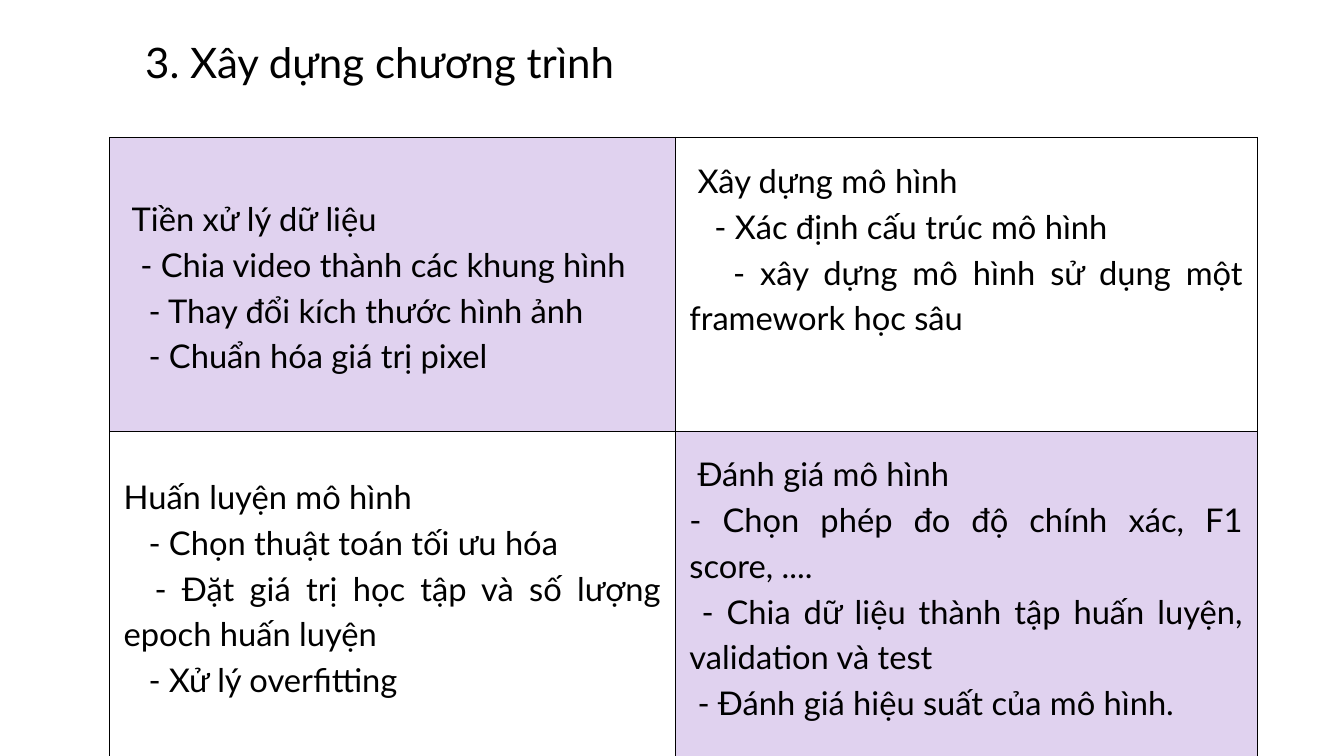
from lxml import etree
from pptx import Presentation
from pptx.dml.color import RGBColor
from pptx.enum import text
from pptx.oxml import ns
from pptx.util import Inches, Pt

COLORS = {"ink": "000000", "lilac": "E0D2EF"}
FONT = "Lato"
COLUMN_WIDTHS = (8.42, 8.66)
ROW_HEIGHTS = (4.38, 5.06)
CELL_MARGIN = 0.21

# Each cell: fill colour, bottom margin, lines as (first-line indent, words)
CELLS = (
    (
        ("lilac", 0.21, (
            (0.12, "Tiền xử lý dữ liệu"),
            (0.25, "- Chia video thành các khung hình"),
            (0.37, "- Thay đổi kích thước hình ảnh"),
            (0.37, "- Chuẩn hóa giá trị pixel"),
        )),
        (None, 1.34, (
            (0.12, "Xây dựng mô hình"),
            (0.37, "- Xác định cấu trúc mô hình"),
            (0.65, "- xây dựng mô hình sử dụng một framework học sâu"),
        )),
    ),
    (
        (None, 0.69, (
            (0, "Huấn luyện mô hình"),
            (0.37, "- Chọn thuật toán tối ưu hóa"),
            (0.46, "- Đặt giá trị học tập và số lượng epoch huấn luyện"),
            (0.37, "- Xử lý overfitting"),
        )),
        ("lilac", 0.69, (
            (0.12, "Đánh giá mô hình"),
            (0, "- Chọn phép đo độ chính xác, F1 score, ...."),
            (0.18, "- Chia dữ liệu thành tập huấn luyện, validation và test"),
            (0.12, "- Đánh giá hiệu suất của mô hình."),
        )),
    ),
)


def format_paragraph(paragraph, size, spacing, indent, alignment):
    """Set the font, exact line spacing and first-line indent."""
    properties = paragraph._p.get_or_add_pPr()
    properties.set("marL", "0")
    properties.set("indent", str(Inches(indent)))
    paragraph.alignment = alignment
    paragraph.line_spacing = Pt(spacing)
    paragraph.space_before = Pt(0)
    for run in paragraph.runs:
        run.font.name = FONT
        run.font.size = Pt(size)
        run.font.color.rgb = RGBColor.from_string(COLORS["ink"])


def set_borders(cell):
    """Draw a thin line on all four sides of a cell."""
    properties = cell._tc.get_or_add_tcPr()
    for position, side in enumerate(("lnL", "lnR", "lnT", "lnB")):
        line = etree.Element(ns.qn(f"a:{side}"), w=str(Pt(0.75)))
        fill = etree.SubElement(line, ns.qn("a:solidFill"))
        etree.SubElement(fill, ns.qn("a:srgbClr"), val=COLORS["ink"])
        properties.insert(position, line)


def fill_cell(cell, color, bottom, lines):
    """Write and format one cell of the table."""
    cell.vertical_anchor = text.MSO_ANCHOR.MIDDLE
    cell.margin_left = cell.margin_right = cell.margin_top = Inches(CELL_MARGIN)
    cell.margin_bottom = Inches(bottom)
    if color:
        cell.fill.solid()
        cell.fill.fore_color.rgb = RGBColor.from_string(COLORS[color])
    else:
        cell.fill.background()
    set_borders(cell)
    cell.text_frame.text = "\n".join(words for _, words in lines)
    for paragraph, (indent, _) in zip(cell.text_frame.paragraphs, lines):
        format_paragraph(paragraph, 35, 49, indent, text.PP_ALIGN.JUSTIFY)


def add_title(slide, words):
    """Place and format the title placeholder."""
    title = slide.shapes.title
    title.left, title.top = Inches(2.01), Inches(0.54)
    title.width, title.height = Inches(13.46), Inches(1.5)
    frame = title.text_frame
    frame.text = words
    frame.word_wrap = True
    frame.auto_size = text.MSO_AUTO_SIZE.NONE
    frame.vertical_anchor = text.MSO_ANCHOR.TOP
    frame.margin_left = frame.margin_right = 0
    frame.margin_top = frame.margin_bottom = 0
    format_paragraph(frame.paragraphs[0], 45, 54, 0.15, text.PP_ALIGN.LEFT)


def add_step_table(slide):
    """Add the two-by-two table of programme steps."""
    table = slide.shapes.add_table(
        len(ROW_HEIGHTS), len(COLUMN_WIDTHS), Inches(1.63), Inches(2.04),
        Inches(sum(COLUMN_WIDTHS)), Inches(sum(ROW_HEIGHTS))).table
    table.first_row = table.horz_banding = False
    for column, width in zip(table.columns, COLUMN_WIDTHS):
        column.width = Inches(width)
    for row, height, contents in zip(table.rows, ROW_HEIGHTS, CELLS):
        row.height = Inches(height)
        for cell, content in zip(row.cells, contents):
            fill_cell(cell, *content)


def main():
    """Build and save the presentation."""
    presentation = Presentation()
    presentation.slide_width = Inches(20)
    presentation.slide_height = Inches(11.25)
    slide = presentation.slides.add_slide(presentation.slide_layouts[5])
    add_title(slide, "3. Xây dựng chương trình")
    add_step_table(slide)
    presentation.save("out.pptx")


if __name__ == "__main__":
    main()
